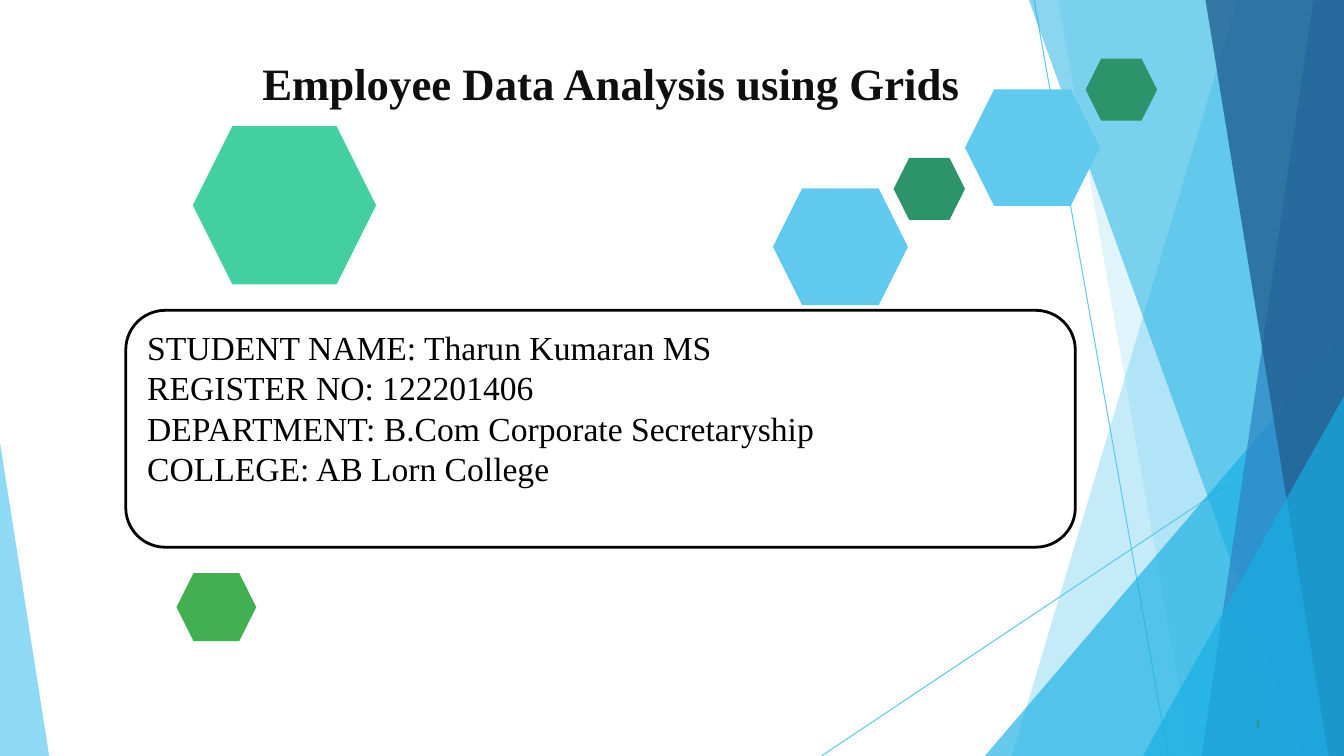
from pptx import Presentation
from pptx.dml.color import RGBColor
from pptx.enum.shapes import MSO_CONNECTOR, MSO_SHAPE
from pptx.enum.text import MSO_ANCHOR, PP_ALIGN
from pptx.oxml.ns import qn
from pptx.util import Cm, Pt
from lxml.etree import SubElement

COLORS = {
    "sky": "5FCAEE", "cyan": "17AFE3", "blue": "2D83C3", "navy": "226192",
    "green": "2D936B", "mint": "42D0A1", "leaf": "42AF51",
    "ink": "0F0F0F", "black": "000000", "white": "FFFFFF",
}
WIDTH, HEIGHT = 33.87, 19.05


def paint(shape, color, opacity=100):
    shape.shadow.inherit = False
    shape.line.fill.background()
    shape.fill.solid()
    shape.fill.fore_color.rgb = RGBColor.from_string(COLORS[color])
    if opacity < 100:
        tint = shape.fill._xPr.find(qn("a:solidFill"))[0]
        SubElement(tint, qn("a:alpha")).set("val", str(opacity * 1000))


def write(paragraph, text, size, color, font="Times New Roman", bold=False):
    paragraph.alignment = PP_ALIGN.LEFT
    run = paragraph.add_run()
    run.text = text
    run.font.size = Pt(size)
    run.font.name = font
    run.font.bold = bold
    run.font.color.rgb = RGBColor.from_string(COLORS[color])


prs = Presentation()
prs.slide_width, prs.slide_height = Cm(WIDTH), Cm(HEIGHT)
slide = prs.slides.add_slide(prs.slide_layouts[6])
shapes = slide.shapes

# Thin background lines
for ends in [(26.06, 0, 29.44, HEIGHT), (WIDTH, 10.26, 20.7, HEIGHT)]:
    ray = shapes.add_connector(MSO_CONNECTOR.STRAIGHT, *map(Cm, ends))
    ray.line.color.rgb = RGBColor.from_string(COLORS["sky"])
    ray.line.width = Pt(0.75)
    SubElement(ray._element.spPr, qn("a:effectLst"))

# Facets: top left x, top y, bottom left x, right edge x, colour, opacity
facets = [
    (31.19, 0, 25.5, WIDTH, "sky", 36),
    (26.67, 0, 30.02, WIDTH, "sky", 20),
    (WIDTH, 8.46, 24.82, WIDTH, "cyan", 66),
    (25.93, 0, 32.79, WIDTH, "cyan", 50),
    (33.1, 0, 30.28, WIDTH, "blue", 70),
    (30.38, 0, 33.48, WIDTH, "navy", 80),
    (WIDTH, 9.98, 28.8, WIDTH, "cyan", 66),
    (0, 11.15, 1.24, 0, "sky", 70),
]
for top_x, top_y, bottom_x, edge, color, opacity in facets:
    corners = [(edge, top_y), (top_x, top_y), (bottom_x, HEIGHT), (edge, HEIGHT)]
    corners = [(Cm(x), Cm(y)) for x, y in dict.fromkeys(corners)]
    outline = shapes.build_freeform(*corners[0], scale=1.0)
    outline.add_line_segments(corners[1:], close=True)
    paint(outline.convert_to_shape(), color, opacity)

# Hexagons: left, top, width, height, colour
hexagons = [
    (19.48, 4.75, 3.4, 2.94, "sky"),
    (22.52, 3.98, 1.8, 1.56, "green"),
    (4.86, 3.18, 4.62, 3.99, "mint"),
    (4.45, 14.44, 2.01, 1.72, "leaf"),
    (24.32, 2.25, 3.4, 2.94, "sky"),
    (27.36, 1.48, 1.8, 1.56, "green"),
]
for *box, color in hexagons:
    paint(shapes.add_shape(MSO_SHAPE.HEXAGON, *map(Cm, box)), color)

# Title and slide number: box, text, size, colour, font, bold
labels = [
    ((6.61, 1.35, 18.8, 1.5), "Employee Data Analysis using Grids",
     32, "ink", "Times New Roman", True),
    ((31.63, 17.95, 0.5, 0.53), "1", 11, "green", "Karla", False),
]
for box, *style in labels:
    frame = shapes.add_textbox(*map(Cm, box)).text_frame
    frame.word_wrap = True
    frame.margin_left = frame.margin_right = frame.margin_bottom = 0
    frame.margin_top = Cm(0.05)
    write(frame.paragraphs[0], *style)

# Student details
card = shapes.add_shape(MSO_SHAPE.ROUNDED_RECTANGLE,
                        Cm(3.17), Cm(7.82), Cm(23.93), Cm(5.97))
paint(card, "white")
card.line.color.rgb = RGBColor.from_string(COLORS["black"])
card.line.width = Pt(2)
frame = card.text_frame
frame.word_wrap = True
frame.vertical_anchor = MSO_ANCHOR.TOP
frame.margin_top = Cm(0.13)
details = [
    "STUDENT NAME: Tharun Kumaran MS",
    "REGISTER NO: 122201406",
    "DEPARTMENT: B.Com Corporate Secretaryship",
    "COLLEGE: AB Lorn College",
]
for i, detail in enumerate(details):
    paragraph = frame.add_paragraph() if i else frame.paragraphs[0]
    write(paragraph, detail, 24, "black")

prs.save("out.pptx")
